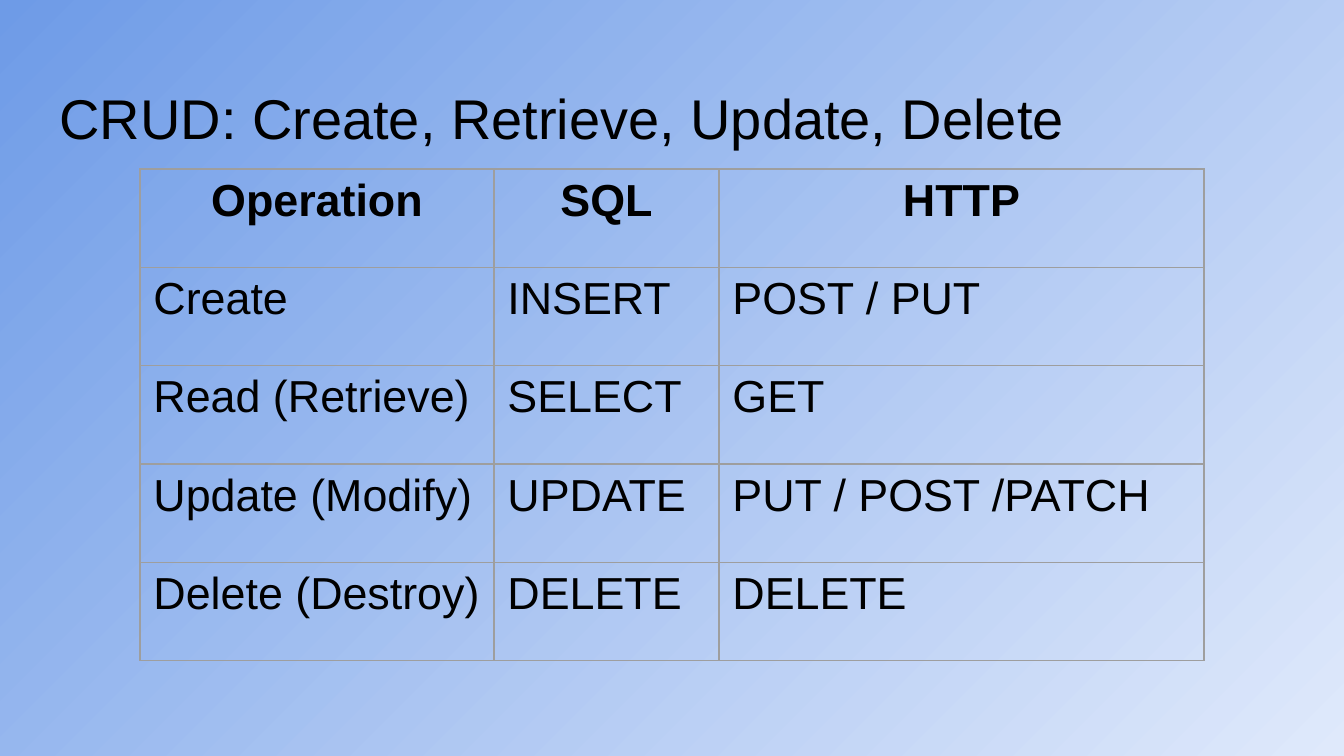
"""Build the slide that compares CRUD operations in SQL and HTTP."""
import dataclasses

import lxml.etree
import pptx
import pptx.dml.color
import pptx.enum.text
import pptx.oxml.ns
import pptx.slide
import pptx.table
import pptx.text.text
import pptx.util

EMU_PER_PX = 914400 / 134.4
FONT = "Arial"
COLOURS = {
    "text": "000000",
    "border": "9E9E9E",
    "light": "DFE9FB",
    "deep": "6E9BE7",
}


@dataclasses.dataclass(frozen=True)
class Box:
    left: int
    top: int
    width: int
    height: int


@dataclasses.dataclass(frozen=True)
class Column:
    heading: str
    width: int
    entries: tuple[str, ...]


TITLE = "CRUD: Create, Retrieve, Update, Delete"
TITLE_BOX = Box(46, 66, 1252, 85)
TABLE_BOX = Box(140, 169, 1064, 492)
COLUMNS = (
    Column("Operation", 354, ("Create", "Read (Retrieve)", "Update (Modify)", "Delete (Destroy)")),
    Column("SQL", 225, ("INSERT", "SELECT", "UPDATE", "DELETE")),
    Column("HTTP", 485, ("POST / PUT", "GET", "PUT / POST /PATCH", "DELETE")),
)


def px(length: int) -> pptx.util.Emu:
    return pptx.util.Emu(round(length * EMU_PER_PX))


def rgb(name: str) -> pptx.dml.color.RGBColor:
    return pptx.dml.color.RGBColor.from_string(COLOURS[name])


def place(box: Box) -> tuple[pptx.util.Emu, ...]:
    return tuple(px(length) for length in dataclasses.astuple(box))


def write(
    frame: pptx.text.text.TextFrame,
    text: str,
    size: int,
    bold: bool = False,
    centred: bool = False,
) -> None:
    frame.text = text
    paragraph = frame.paragraphs[0]
    align = pptx.enum.text.PP_ALIGN
    paragraph.alignment = align.CENTER if centred else align.LEFT
    paragraph.font.name = FONT
    paragraph.font.size = pptx.util.Pt(size)
    paragraph.font.bold = bold
    paragraph.font.color.rgb = rgb("text")


def paint_background(slide: pptx.slide.Slide) -> None:
    fill = slide.background.fill
    fill.gradient()
    fill.gradient_angle = 135
    for stop, name in zip(fill.gradient_stops, ("light", "deep")):
        stop.color.rgb = rgb(name)


def add_title(slide: pptx.slide.Slide) -> None:
    title = slide.shapes.title
    title.left, title.top, title.width, title.height = place(TITLE_BOX)
    frame = title.text_frame
    frame.word_wrap = True
    frame.auto_size = pptx.enum.text.MSO_AUTO_SIZE.NONE
    frame.vertical_anchor = pptx.enum.text.MSO_ANCHOR.TOP
    frame.margin_left = frame.margin_right = pptx.util.Inches(0.1)
    frame.margin_top, frame.margin_bottom = px(18), 0
    write(frame, TITLE, 30)


def outline(cell: pptx.table._Cell) -> None:
    qn = pptx.oxml.ns.qn
    properties = cell._tc.get_or_add_tcPr()
    for side in ("lnL", "lnR", "lnT", "lnB"):
        border = lxml.etree.SubElement(properties, qn(f"a:{side}"), w=str(pptx.util.Pt(0.75)))
        solid = lxml.etree.SubElement(border, qn("a:solidFill"))
        lxml.etree.SubElement(solid, qn("a:srgbClr"), val=COLOURS["border"])


def add_operations(slide: pptx.slide.Slide) -> None:
    row_count = len(COLUMNS[0].entries) + 1
    operations = slide.shapes.add_table(row_count, len(COLUMNS), *place(TABLE_BOX)).table
    operations.first_row = operations.horz_banding = False
    for column_index, column in enumerate(COLUMNS):
        operations.columns[column_index].width = px(column.width)
        for row_index, text in enumerate((column.heading, *column.entries)):
            cell = operations.cell(row_index, column_index)
            heading = row_index == 0
            write(cell.text_frame, text, 24, bold=heading, centred=heading)
            outline(cell)
            cell.fill.background()


def main() -> None:
    deck = pptx.Presentation()
    deck.slide_width, deck.slide_height = px(1344), px(756)
    slide = deck.slides.add_slide(deck.slide_layouts.get_by_name("Title Only"))
    paint_background(slide)
    add_title(slide)
    add_operations(slide)
    deck.save("out.pptx")


if __name__ == "__main__":
    main()
